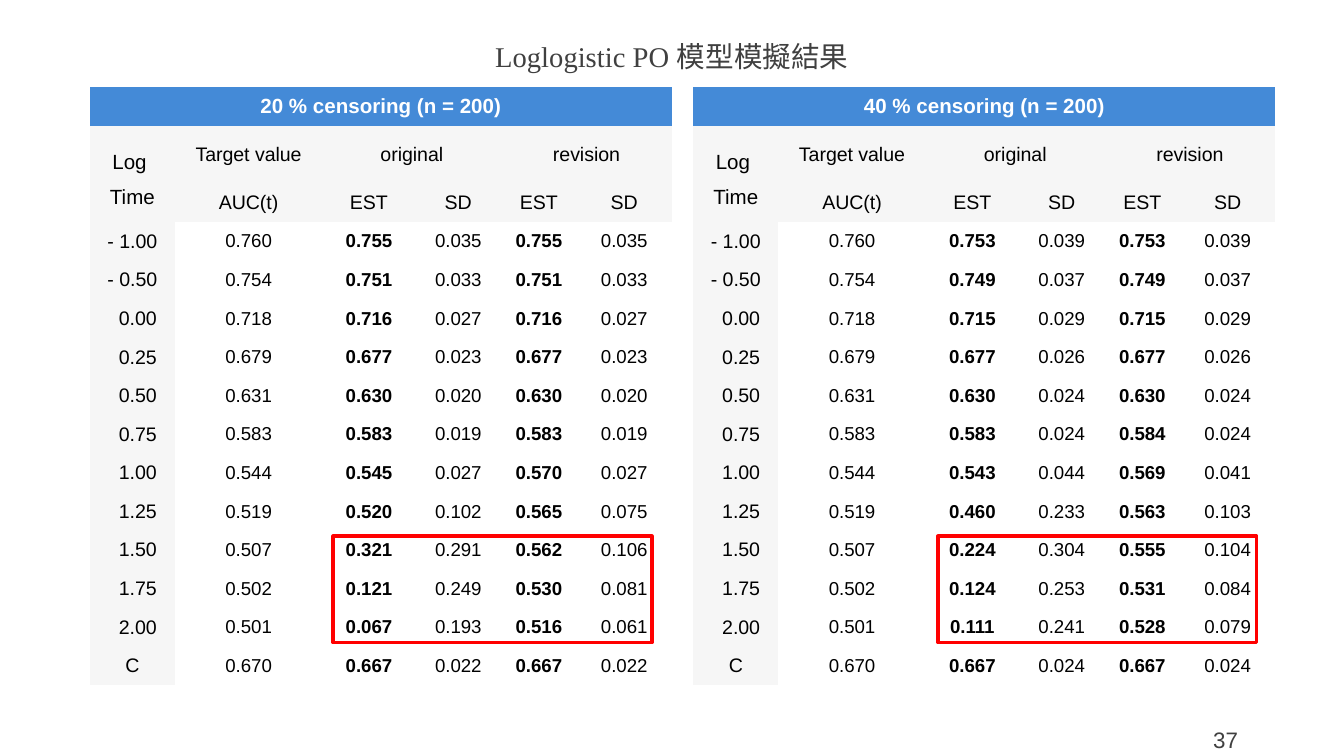
"""Builds the slide of Loglogistic PO simulation results at two censoring rates."""
from dataclasses import dataclass

from pptx import Presentation
from pptx.dml.color import RGBColor
from pptx.enum.shapes import MSO_SHAPE
from pptx.enum.text import MSO_ANCHOR as Anchor, PP_ALIGN as Align
from pptx.oxml.ns import qn
from pptx.util import Inches, Pt


@dataclass(frozen=True)
class Theme:
    sans: str = "Arial"
    serif: str = "Times New Roman"
    cjk: str = "Noto Sans CJK SC"
    ink: str = "000000"
    muted: str = "404040"
    white: str = "FFFFFF"
    band: str = "448AD7"
    pale: str = "F6F6F6"
    alert: str = "FF0000"
    title: float = 15.3
    page: float = 12
    head: float = 11
    label: float = 10.5
    value: float = 10
    plain_table: str = "{2D5ABB26-0587-4C30-8999-92F81FD0307C}"


TIMES = ["- 1.00", "- 0.50", "0.00", "0.25", "0.50", "0.75",
         "1.00", "1.25", "1.50", "1.75", "2.00", "C"]
TARGETS = ["0.760", "0.754", "0.718", "0.679", "0.631", "0.583",
           "0.544", "0.519", "0.507", "0.502", "0.501", "0.670"]
HEADER = ["AUC(t)", "EST", "SD", "EST", "SD"]
COLUMNS = [0.63, 1.1, 0.69, 0.64, 0.56, 0.71]
TOP, HEIGHT, GROUP_ROW = 0.65, 4.45, 0.43
DIGIT_INDENT = 0.08

RESULTS_20 = """
0.755 0.035 0.755 0.035
0.751 0.033 0.751 0.033
0.716 0.027 0.716 0.027
0.677 0.023 0.677 0.023
0.630 0.020 0.630 0.020
0.583 0.019 0.583 0.019
0.545 0.027 0.570 0.027
0.520 0.102 0.565 0.075
0.321 0.291 0.562 0.106
0.121 0.249 0.530 0.081
0.067 0.193 0.516 0.061
0.667 0.022 0.667 0.022
"""
RESULTS_40 = """
0.753 0.039 0.753 0.039
0.749 0.037 0.749 0.037
0.715 0.029 0.715 0.029
0.677 0.026 0.677 0.026
0.630 0.024 0.630 0.024
0.583 0.024 0.584 0.024
0.543 0.044 0.569 0.041
0.460 0.233 0.563 0.103
0.224 0.304 0.555 0.104
0.124 0.253 0.531 0.084
0.111 0.241 0.528 0.079
0.667 0.024 0.667 0.024
"""


def write(p, text, *, size, font, color, bold=False, align=Align.CENTER, spacing=None):
    p.alignment = align
    if spacing:
        p.line_spacing = spacing
    r = p.add_run()
    r.text = text
    r.font.size, r.font.name, r.font.bold = Pt(size), font, bold
    r.font.color.rgb = RGBColor.from_string(color)
    return r


class Deck:
    def __init__(self, slide, theme):
        self.s, self.t = slide, theme

    def text(self, x, y, w, h):
        tf = self.s.shapes.add_textbox(*map(Inches, (x, y, w, h))).text_frame
        tf.word_wrap = True
        tf.vertical_anchor = Anchor.MIDDLE
        tf.margin_top = tf.margin_bottom = 0
        return tf.paragraphs[0]

    def frame(self, x, y, w, h):
        sp = self.s.shapes.add_shape(MSO_SHAPE.RECTANGLE, *map(Inches, (x, y, w, h)))
        sp.shadow.inherit = False
        sp.fill.background()
        sp.line.color.rgb = RGBColor.from_string(self.t.alert)
        sp.line.width = Pt(2)

    def cell(self, cell, *lines, fill, size, color=None, indent=0, **fmt):
        cell.fill.solid()
        cell.fill.fore_color.rgb = RGBColor.from_string(fill)
        cell.vertical_anchor = Anchor.MIDDLE
        cell.margin_left, cell.margin_right = Inches(0.05 + indent), Inches(0.05)
        cell.margin_top = cell.margin_bottom = Inches(0.03)
        tf = cell.text_frame
        for i, line in enumerate(lines):
            p = tf.add_paragraph() if i else tf.paragraphs[0]
            write(p, line, size=size, font=self.t.sans, color=color or self.t.ink, **fmt)

    def table(self, x, heading, results):
        t = self.t
        n_rows = len(TIMES) + 3
        table = self.s.shapes.add_table(n_rows, len(COLUMNS), Inches(x), Inches(TOP),
                                        Inches(sum(COLUMNS)), Inches(HEIGHT)).table
        table.first_row = table.horz_banding = False
        table._tbl.tblPr.find(qn("a:tableStyleId")).text = t.plain_table
        for column, width in zip(table.columns, COLUMNS):
            column.width = Inches(width)
        for i, row in enumerate(table.rows):
            row.height = Inches(GROUP_ROW if i == 1 else (HEIGHT - GROUP_ROW) / (n_rows - 1))

        for first, last in [((0, 0), (0, 5)), ((1, 0), (2, 0)),
                            ((1, 2), (1, 3)), ((1, 4), (1, 5))]:
            table.cell(*first).merge(table.cell(*last))
        self.cell(table.cell(0, 0), heading, fill=t.band, size=t.head,
                  color=t.white, bold=True)
        self.cell(table.cell(1, 0), "Log ", "Time", fill=t.pale, size=t.head, spacing=1.5)
        for col, label in [(1, "Target value"), (2, "original"), (4, "revision")]:
            self.cell(table.cell(1, col), label, fill=t.pale, size=t.label)
        for col, label in enumerate(HEADER, 1):
            self.cell(table.cell(2, col), label, fill=t.pale, size=t.label)

        rows = zip(TIMES, TARGETS, results.strip().splitlines())
        for row, (time, target, line) in enumerate(rows, 3):
            self.cell(table.cell(row, 0), time, fill=t.pale, size=t.label,
                      indent=DIGIT_INDENT if time[0].isdigit() else 0)
            for col, value in enumerate([target, *line.split()], 1):
                self.cell(table.cell(row, col), value, fill=t.white, size=t.value,
                          bold=HEADER[col - 1] == "EST")


def main():
    prs = Presentation()
    prs.slide_width = Inches(10)
    prs.slide_height = prs.slide_width * 9 // 16
    t = Theme()
    deck = Deck(prs.slides.add_slide(prs.slide_layouts[6]), t)

    title = deck.text(0, 0.26, 10, 0.31)
    write(title, "Loglogistic PO ", size=t.title, font=t.serif, color=t.muted)
    r = write(title, "模型模擬結果", size=t.title, font=t.cjk, color=t.muted)
    ea = r._r.get_or_add_rPr().makeelement(qn("a:ea"), {"typeface": t.cjk})
    r._r.rPr.find(qn("a:latin")).addnext(ea)
    write(deck.text(7.06, 5.35, 2.25, 0.3), "37", size=t.page, font=t.sans,
          color=t.muted, align=Align.RIGHT)

    for x, rate, results in [(0.67, 20, RESULTS_20), (5.16, 40, RESULTS_40)]:
        deck.table(x, f"{rate} % censoring (n = 200)", results)
    for x in (2.48, 6.98):
        deck.frame(x, 3.99, 2.37, 0.79)
    prs.save("out.pptx")


if __name__ == "__main__":
    main()
